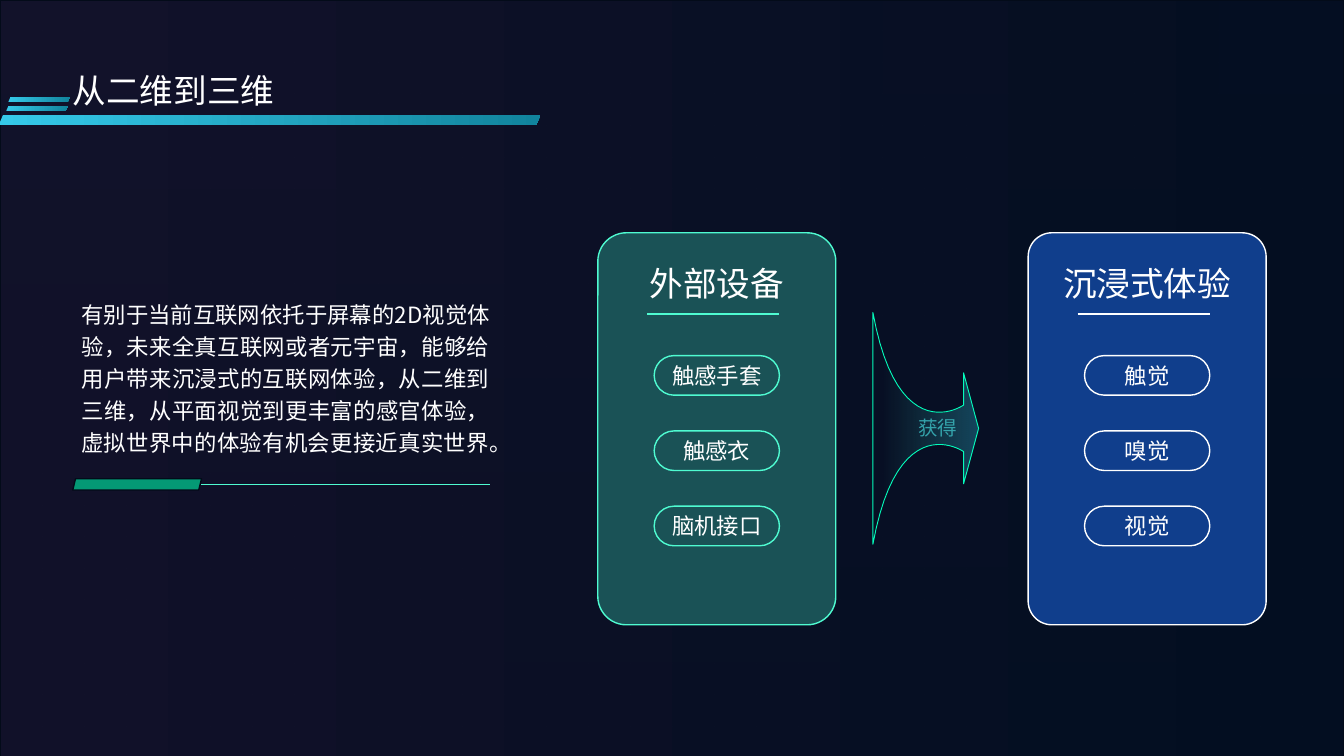
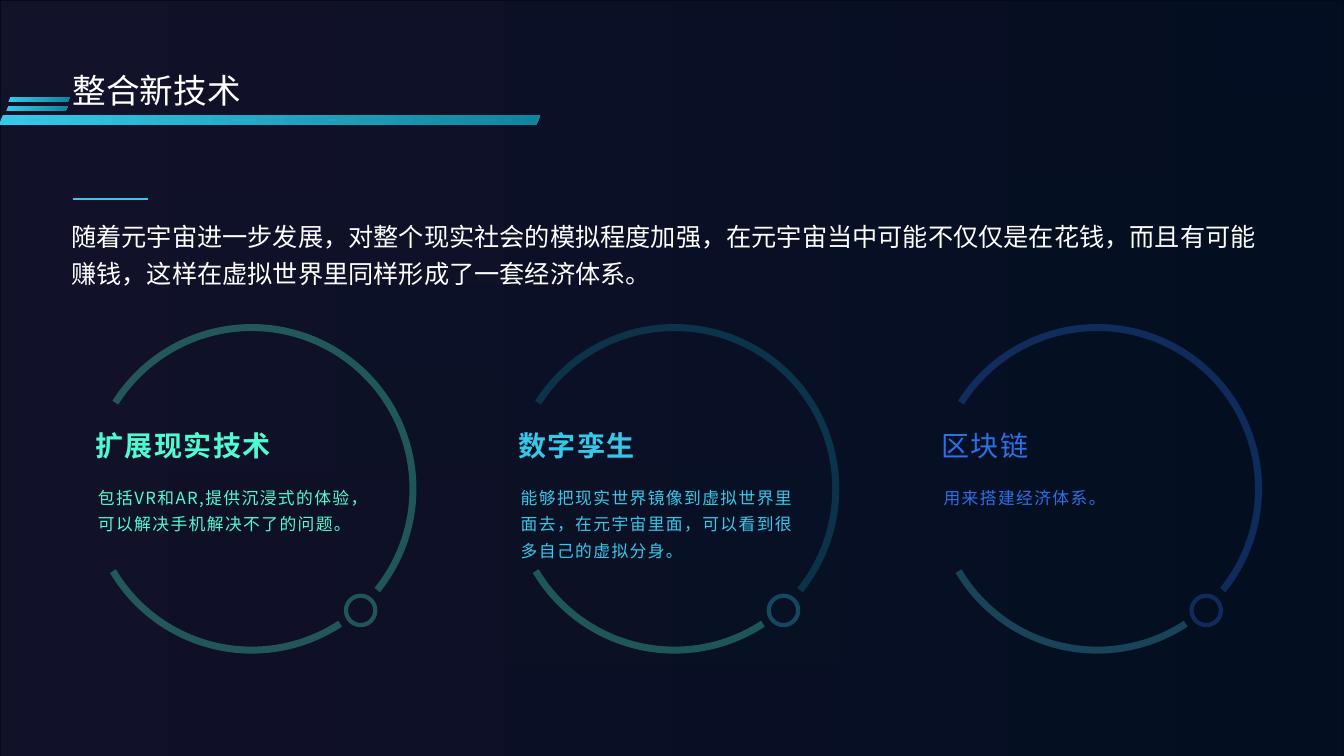
from lxml import etree
from pptx import Presentation
from pptx import util as u
from pptx.dml.color import RGBColor
from pptx.enum import lang, shapes, text
from pptx.oxml.ns import qn

Pt = u.Pt
Preset = shapes.MSO_SHAPE
Align = text.PP_ALIGN
WHITE, MINT, CYAN, TEAL, BLUE = "FFFFFF", "4FFBD1", "35C9E9", "11849D", "2C70E6"
NIGHT, DEEP, EDGE = "13132B", "040F22", "030B19"
CJK = "Noto Sans CJK JP"


def color(value):
    return RGBColor.from_string(value)


def assign(target, values):
    for name, value in values.items():
        setattr(target, name, value)


def set_alpha(parent, opacities):
    for tone, opacity in zip(parent.iter(qn("a:srgbClr")), opacities):
        etree.SubElement(tone, qn("a:alpha")).set("val", str(opacity * 1000))


def set_gradient(fill, tones, angle=0, end=1.0):
    fill.gradient()
    fill.gradient_angle = angle
    for stop, tone, position in zip(fill.gradient_stops, tones, (0, end)):
        stop.color.rgb = color(tone)
        stop.position = position


def curve(points, steps=24):
    for step in range(1, steps + 1):
        t = step / steps
        weights = ((1 - t) ** 3, 3 * t * (1 - t) ** 2, 3 * t * t * (1 - t), t ** 3)
        yield tuple(sum(w * p[axis] for w, p in zip(weights, points)) for axis in (0, 1))


class Deck:
    BANDS = [(-1, 82, 387, 7.4), (4.5, 75.4, 44, 3.8), (6, 69, 44, 3.8)]

    def __init__(self):
        self.prs = Presentation()
        assign(self.prs, {"slide_width": Pt(960), "slide_height": Pt(540)})
        self.layout = self.prs.slide_layouts[5]
        set_gradient(self.layout.background.fill, (NIGHT, DEEP), 270)
        self.slide = None

    def new_slide(self, title):
        self.slide = self.prs.slides.add_slide(self.layout)
        veil = self.shape(Preset.RECTANGLE, (0, 0, 960, 541), line=EDGE)
        set_gradient(veil.fill, (NIGHT, DEEP))
        set_alpha(veil.element.spPr.find(qn("a:gradFill")), (96, 90))
        for box in self.BANDS:
            band = self.shape(Preset.PARALLELOGRAM, box, adjust=[0.43])
            set_gradient(band.fill, (CYAN, TEAL))
        heading = self.slide.shapes.title
        self.slide.shapes.element.append(heading.element)
        self.place(heading, (52, 50.4, 335, 31))
        self.put_text(heading, title, 24, spacing=0.9, side=0,
                      fit=text.MSO_AUTO_SIZE.NONE, anchor=text.MSO_ANCHOR.MIDDLE)

    def place(self, item, box):
        assign(item, dict(zip(("left", "top", "width", "height"), map(Pt, box))))

    def put_text(self, item, words, size, tone=WHITE, align=Align.LEFT, spacing=1.0,
                 font=CJK, bold=False, tracking=0, side=7.2, vertical=3.6,
                 fit=text.MSO_AUTO_SIZE.SHAPE_TO_FIT_TEXT, anchor=text.MSO_ANCHOR.TOP):
        frame = item.text_frame
        assign(frame, {
            "word_wrap": True, "auto_size": fit, "vertical_anchor": anchor,
            "margin_left": Pt(side), "margin_right": Pt(side),
            "margin_top": Pt(vertical), "margin_bottom": Pt(vertical)})
        paragraph = frame.paragraphs[0]
        assign(paragraph, {"alignment": align, "line_spacing": spacing})
        run = paragraph.add_run()
        run.text = words
        assign(run.font, {"size": Pt(size), "bold": bold, "name": font,
                          "language_id": lang.MSO_LANGUAGE_ID.SIMPLIFIED_CHINESE})
        run.font.color.rgb = color(tone)
        props = run._r.get_or_add_rPr()
        etree.SubElement(props, qn("a:ea")).set("typeface", CJK)
        if tracking:
            props.set("spc", str(tracking * 100))

    def label(self, box, words, size, **style):
        self.put_text(self.slide.shapes.add_textbox(*map(Pt, box)), words, size, **style)

    def finish(self, item, fill=None, line=None, width=1, opacity=None):
        item.shadow.inherit = False
        if fill:
            item.fill.solid()
            item.fill.fore_color.rgb = color(fill)
        else:
            item.fill.background()
        if line:
            item.line.color.rgb = color(line)
            item.line.width = Pt(width)
            if opacity:
                set_alpha(item.element.spPr.find(qn("a:ln")), [opacity])
        else:
            item.line.fill.background()
        return item

    def shape(self, preset, box, adjust=(), **look):
        item = self.slide.shapes.add_shape(preset, *map(Pt, box))
        for index, value in enumerate(adjust):
            item.adjustments[index] = value
        return self.finish(item, **look)

    def arc(self, box, start, end, tone):
        self.shape(Preset.ARC, box, [start * 0.6, end * 0.6],
                   line=tone, width=5, opacity=30)

    def rule(self, x, y, length, tone, width=1.5):
        line = self.slide.shapes.add_connector(
            shapes.MSO_CONNECTOR.STRAIGHT, Pt(x), Pt(y), Pt(x + length), Pt(y))
        line.line.color.rgb = color(tone)
        line.line.width = Pt(width)
        etree.SubElement(line.element.spPr, qn("a:effectLst"))

    def outline(self, points, **look):
        corners = [(Pt(x), Pt(y)) for x, y in points]
        builder = self.slide.shapes.build_freeform(*corners[0])
        builder.add_line_segments(corners[1:], close=True)
        return self.finish(builder.convert_to_shape(), **look)

    def card(self, x, heading, entries, fill, line, corner):
        self.shape(Preset.ROUNDED_RECTANGLE, (x, 166.3, 170, 280), [corner],
                   fill=fill, line=line)
        for row, entry in enumerate(entries):
            pill = self.shape(Preset.ROUNDED_RECTANGLE,
                              (x + 40.25, 254 + row * 53.8, 89.5, 28.3), [0.5],
                              fill=fill, line=line)
            self.put_text(pill, entry, 16, align=Align.CENTER,
                          fit=text.MSO_AUTO_SIZE.NONE, anchor=text.MSO_ANCHOR.MIDDLE)
        self.label((x + 15, 184.3, 140, 36), heading, 24, align=Align.CENTER)
        self.rule(x + 35.3, 224.6, 94.3, line)

    def ring(self, x, heading, detail, tone, upper, lower, bold):
        self.label((x - 3.4, 302.4, 214.6, 32), heading, 20,
                   tone=tone, bold=bold, tracking=1)
        self.label((x + 5.4, 344.2, 196.6, 37), detail, 12, tone=tone,
                   spacing=1.3, tracking=1, side=0, vertical=0)
        circle = (x, 234, 230.4, 230.4)
        self.arc(circle, 212.28, 38.9, upper)
        self.arc(circle, 56.71, 149.34, lower)
        self.shape(Preset.OVAL, (x + 182.5, 425.5, 21, 21),
                   line=tone, width=3, opacity=30)


def dimensions(deck):
    deck.new_slide("从二维到三维")
    deck.card(427, "外部设备", ["触感手套", "触感衣", "脑机接口"], "1A5256", MINT, 0.12)
    deck.card(734.4, "沉浸式体验", ["触觉", "嗅觉", "视觉"], "103E8C", WHITE, 0.1)

    axis = 306
    flare = [(623.5, 223.2), (641.5, 321.8), (688.3, 289.4), (688.3, 289.4)]
    upper = [flare[0], *curve(flare), (688.3, 266.4)]
    lower = [(x, 2 * axis - y) for x, y in reversed(upper)]
    arrow = deck.outline([*upper, (699, axis), *lower], line="04FCBB", width=0.66)
    set_gradient(arrow.fill, (CYAN, MINT), 180, 0.9)
    set_alpha(arrow.element.spPr.find(qn("a:gradFill")), (29, 0))
    deck.label((623.5, 293.8, 92.9, 24.5), "获得", 14, tone="34A3AB", align=Align.CENTER)

    deck.label((51, 207.4, 306, 148.3),
               "有别于当前互联网依托于屏幕的2D视觉体验，未来全真互联网或者元宇宙，"
               "能够给用户带来沉浸式的互联网体验，从二维到三维，从平面视觉到更丰富的感官体验，"
               "虚拟世界中的体验有机会更接近真实世界。",
               16, align=Align.JUSTIFY, spacing=1.2)
    deck.rule(134, 346, 216, MINT, 1)
    deck.shape(Preset.PARALLELOGRAM, (52, 342, 92, 8), fill="049975", line=EDGE)


def technologies(deck):
    deck.new_slide("整合新技术")
    deck.label((51, 150.5, 856, 58.3),
               "随着元宇宙进一步发展，对整个现实社会的模拟程度加强，"
               "在元宇宙当中可能不仅仅是在花钱，而且有可能赚钱，"
               "这样在虚拟世界里同样形成了一套经济体系。",
               18, spacing=1.2, font="Karla", side=0)
    rings = [
        ("扩展现实技术", "包括VR和AR,提供沉浸式的体验，可以解决手机解决不了的问题。",
         MINT, MINT, MINT, True),
        ("数字孪生", "能够把现实世界镜像到虚拟世界里面去，在元宇宙里面，可以看到很多自己的虚拟分身。",
         CYAN, TEAL, MINT, True),
        ("区块链", "用来搭建经济体系。", BLUE, BLUE, "48BED5", False)]
    for column, content in enumerate(rings):
        deck.ring(64.6 + column * 302, *content)
    deck.rule(52, 142.2, 54, CYAN)


def main():
    deck = Deck()
    dimensions(deck)
    technologies(deck)
    deck.prs.save("out.pptx")


if __name__ == "__main__":
    main()
